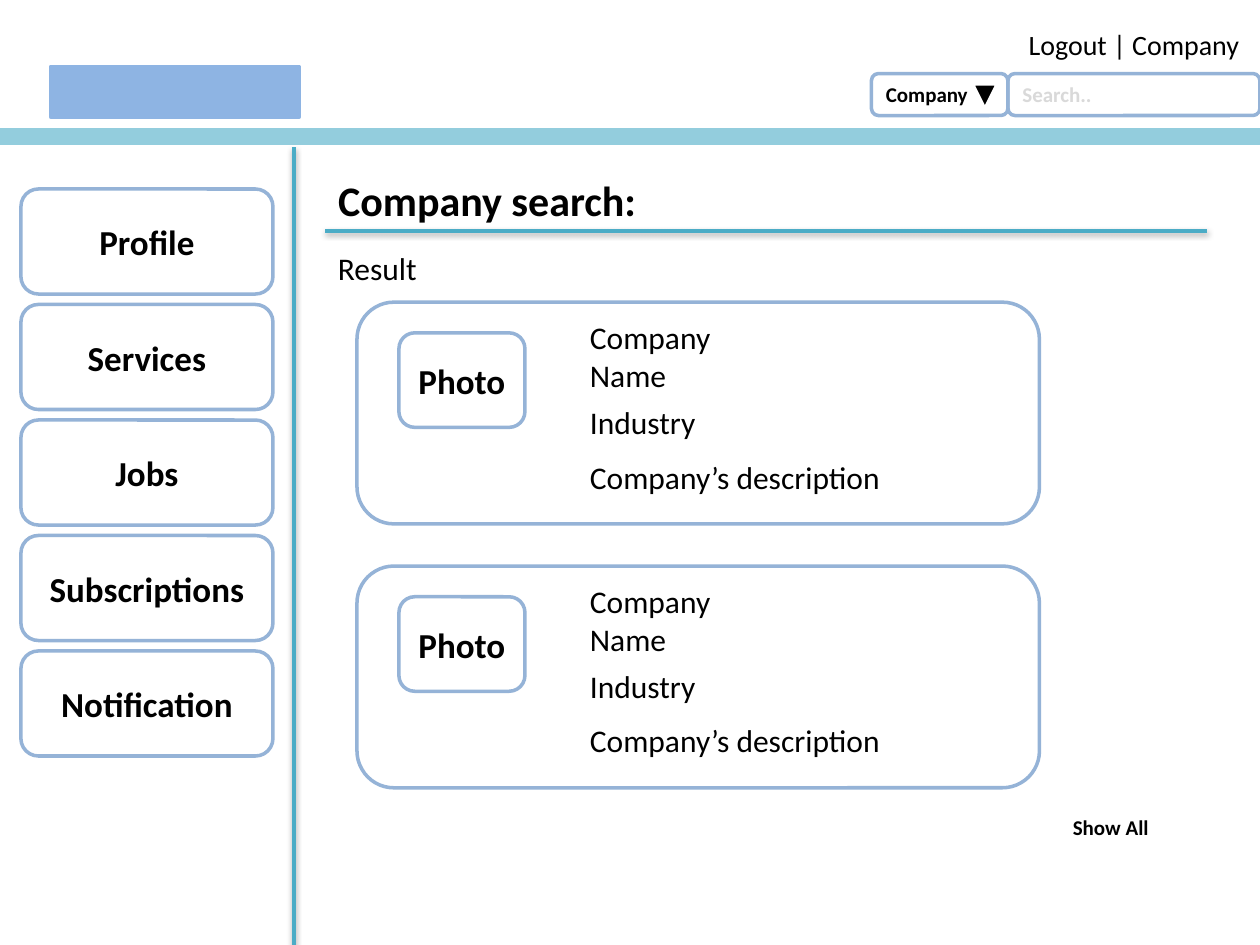
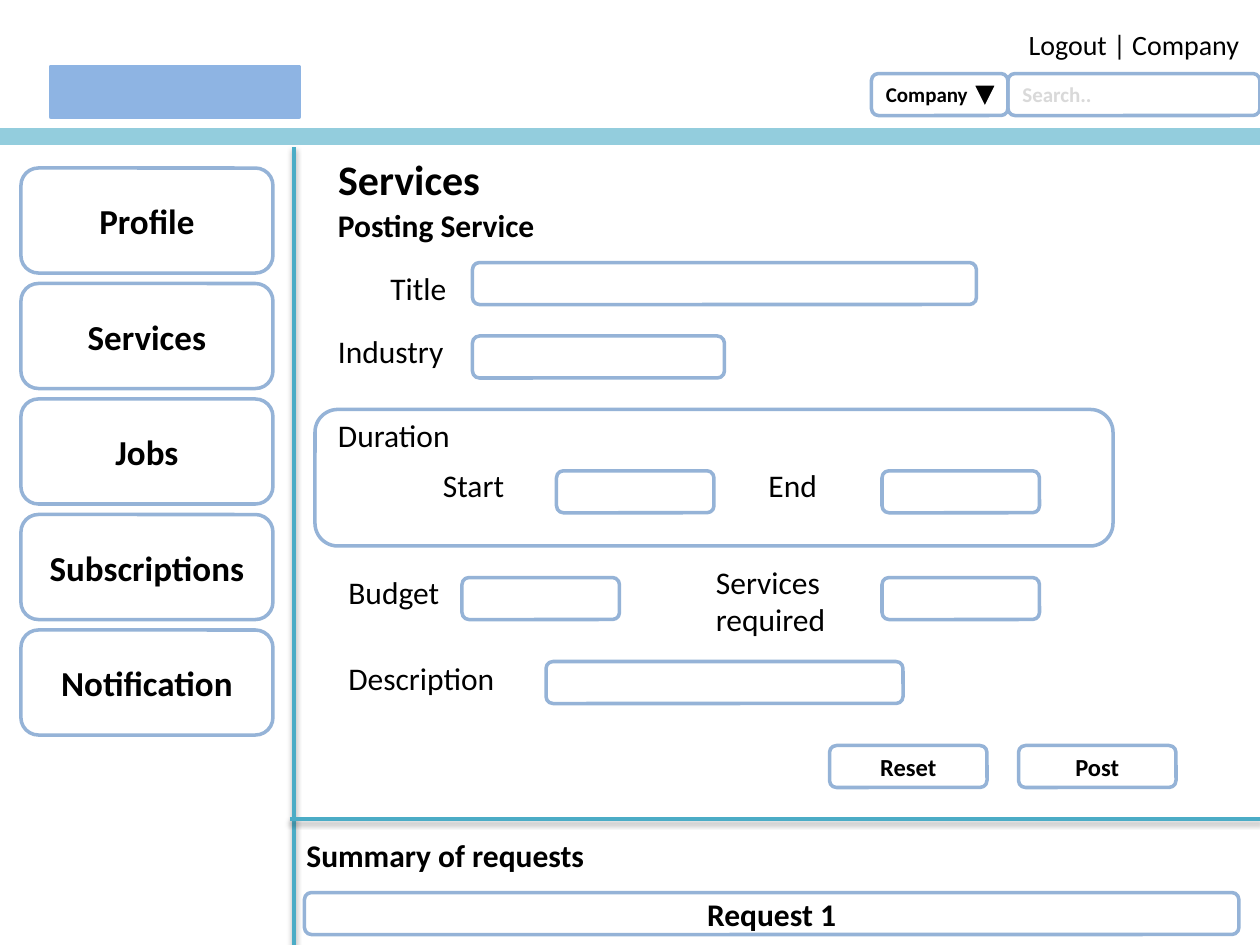
from lxml.etree import SubElement
from pptx import Presentation
from pptx.dml.color import RGBColor
from pptx.enum.shapes import MSO_CONNECTOR, MSO_SHAPE
from pptx.enum.text import MSO_ANCHOR, MSO_AUTO_SIZE, PP_ALIGN
from pptx.oxml.ns import qn
from pptx.util import Pt

BLACK = "000000"
WHITE = "FFFFFF"
OUTLINE = "95B3D7"
BAND = "93CDDD"
RULE = "4BACC6"
EMBLEM = "8EB4E3"
HINT = "D9D9D9"
BODY_FONT = "Calibri"
FIELD_HEIGHT = 24
MENU = ["Profile", "Services", "Jobs", "Subscriptions", "Notification"]


def color(value):
    return RGBColor.from_string(value)


def write(shape, text, size, bold=False, ink=BLACK, align=PP_ALIGN.LEFT):
    shape.text_frame.text = text
    for paragraph in shape.text_frame.paragraphs:
        paragraph.alignment = align
        for span in paragraph.runs:
            span.font.name = BODY_FONT
            span.font.size = Pt(size)
            span.font.bold = bold
            span.font.color.rgb = color(ink)


def add_label(page, text, left, top, width, height=29, size=18, **style):
    label = page.shapes.add_textbox(Pt(left), Pt(top), Pt(width), Pt(height))
    label.text_frame.word_wrap = True
    label.text_frame.auto_size = MSO_AUTO_SIZE.SHAPE_TO_FIT_TEXT
    write(label, text, size, **style)


def add_shape(page, kind, left, top, width, height, fill, line):
    shape = page.shapes.add_shape(kind, Pt(left), Pt(top), Pt(width), Pt(height))
    shape.shadow.inherit = False
    shape.fill.solid()
    shape.fill.fore_color.rgb = color(fill)
    shape.line.color.rgb = color(line)
    shape.line.width = Pt(2)
    return shape


def add_box(page, left, top, width, height=FIELD_HEIGHT, text="", size=20, align=PP_ALIGN.CENTER, ink=BLACK):
    box = add_shape(page, MSO_SHAPE.ROUNDED_RECTANGLE, left, top, width, height, WHITE, OUTLINE)
    if text:
        box.text_frame.vertical_anchor = MSO_ANCHOR.MIDDLE
        write(box, text, size, bold=True, ink=ink, align=align)


def add_line(page, start, end, ink=RULE, width=2, shadow=True):
    points = [Pt(value) for value in (*start, *end)]
    line = page.shapes.add_connector(MSO_CONNECTOR.STRAIGHT, *points)
    line.line.color.rgb = color(ink)
    line.line.width = Pt(width)
    effects = SubElement(line._element.spPr, qn("a:effectLst"))
    if shadow:
        outer = SubElement(effects, qn("a:outerShdw"), blurRad="40000", dist="20000",
                           dir="5400000", rotWithShape="0")
        black = SubElement(outer, qn("a:srgbClr"), val=BLACK)
        SubElement(black, qn("a:alpha"), val="38000")


def add_heading(page, text, top):
    title = page.shapes.title
    title.left, title.top, title.width, title.height = Pt(186), Pt(top), Pt(222), Pt(36)
    title.text_frame.auto_size = MSO_AUTO_SIZE.NONE
    title.text_frame.vertical_anchor = MSO_ANCHOR.TOP
    write(title, text, 24, bold=True)


def add_header(page):
    add_shape(page, MSO_SHAPE.RECTANGLE, 29, 38, 142, 29, EMBLEM, EMBLEM)
    add_line(page, (0, 78), (720, 78), BAND, 10, shadow=False)
    add_label(page, "Logout | Company", 558, 12, 180, 27, size=16, align=PP_ALIGN.CENTER)
    add_box(page, 576, 42, 144, text="Search..", size=12, align=PP_ALIGN.LEFT, ink=HINT)
    add_box(page, 498, 42, 78, text="Company", size=12, align=PP_ALIGN.LEFT)
    arrow = add_shape(page, MSO_SHAPE.ISOSCELES_TRIANGLE, 555.6, 48, 14.4, 14.4, BLACK, WHITE)
    arrow._element.spPr.xfrm.set("flipV", "1")


def add_menu(page, top):
    for index, entry in enumerate(MENU):
        add_box(page, 12, top + index * 66, 144, 60, entry)
    add_line(page, (168, 540), (168, 84))


def add_page(deck, heading, heading_top, menu_top):
    page = deck.slides.add_slide(deck.slide_layouts[5])
    add_heading(page, heading, heading_top)
    add_header(page)
    add_menu(page, menu_top)
    return page


def add_company_card(page, top):
    add_box(page, 204, top, 390, 126.7)
    add_box(page, 228, top + 17.5, 72, 54, "Photo")
    add_label(page, "Company Name", 330, top + 5.5, 96, 51)
    add_label(page, "Industry", 330, top + 54.2, 96)
    add_label(page, "Company’s description", 330, top + 85.2, 204)


def build_search_page(deck):
    page = add_page(deck, "Company search:", 96, 108)
    add_line(page, (186, 132), (690, 132))
    add_label(page, "Result", 186, 139, 138)
    for index in range(2):
        add_company_card(page, 172.7 + index * 150.8)
    add_label(page, "Show All", 606, 462, 72, 22, size=12, bold=True)


def build_services_page(deck):
    page = add_page(deck, "Services", 84, 96)
    add_label(page, "Posting Service", 186, 114, 138, bold=True)

    add_box(page, 180, 234, 456, 78)
    add_label(page, "Duration", 186, 234, 96)

    fields = [
        ("Title", 216, 150, 66, 270, 150, 288),
        ("Industry", 186, 186, 96, 270, 192, 144),
        ("Start", 246, 263, 96, 318, 269, 90),
        ("End", 432, 263, 96, 504, 269, 90),
        ("Budget", 192, 324, 96, 264, 330, 90),
        ("Services required", 402, 318, 96, 504, 330, 90),
        ("Description", 192, 373, 108, 312, 378, 204),
    ]
    for name, label_left, label_top, label_width, left, top, width in fields:
        add_label(page, name, label_left, label_top, label_width)
        add_box(page, left, top, width)

    for index, action in enumerate(["Reset", "Post"]):
        add_box(page, 474 + index * 108, 426, 90, text=action, size=14)

    add_line(page, (165.6, 468), (720, 468))
    add_label(page, "Summary of requests", 168, 474, 342, bold=True)
    add_box(page, 174, 510, 534, text="Request 1", size=18)


def main():
    deck = Presentation()
    deck.slide_width, deck.slide_height = Pt(720), Pt(540)
    build_search_page(deck)
    build_services_page(deck)
    deck.save("out.pptx")


if __name__ == "__main__":
    main()
